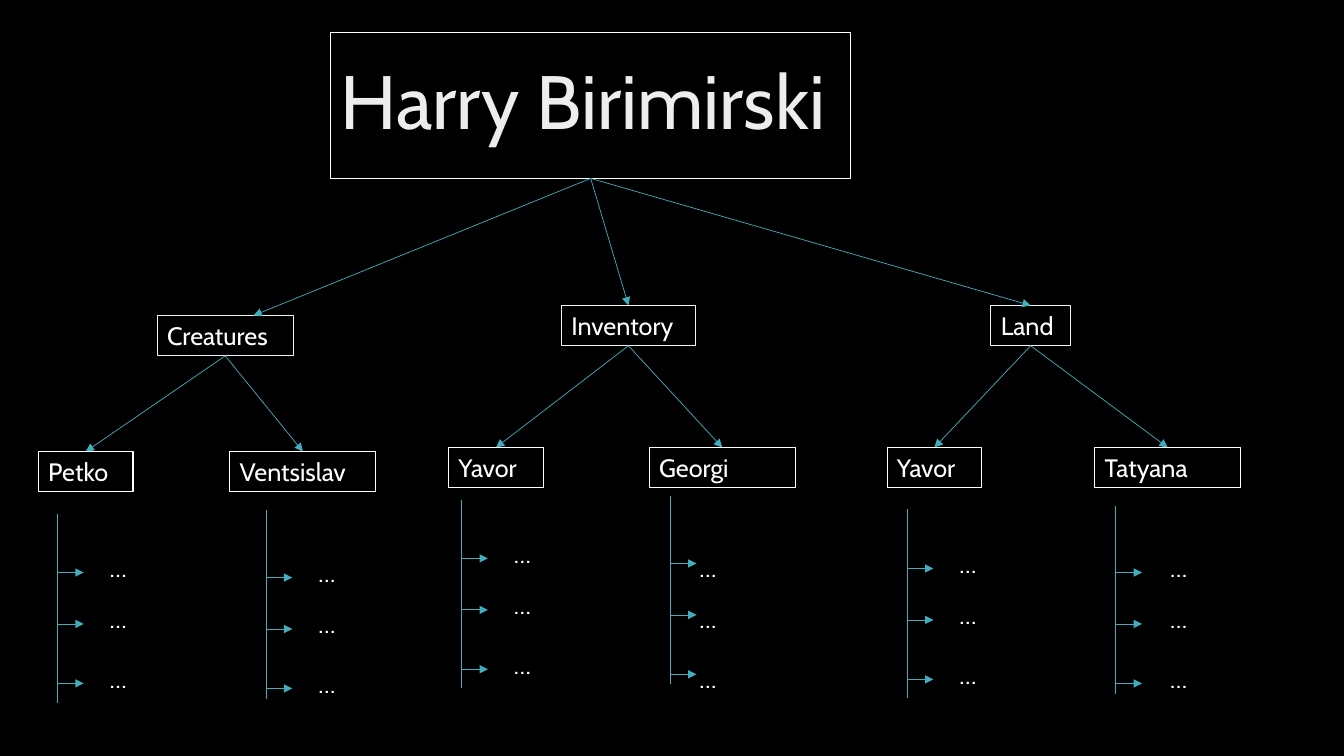
from copy import deepcopy
from dataclasses import dataclass

from lxml import etree
from pptx import Presentation
from pptx import util as u
from pptx.dml.color import RGBColor
from pptx.enum import shapes, text
from pptx.oxml import ns


@dataclass(frozen=True)
class Theme:
    font: str = "Cabin"
    title_size: float = 54
    body_size: float = 18
    background: str = "000000"
    ink: str = "FFFFFF"
    branch_outline: str = "F2F2F2"
    arrow: str = "41AEBD"
    title_gradient: tuple = ((0, "BFBFBF"), (0.28, "EDEDED"), (1, "FFFFFF"))
    outline_width: float = 0.75
    arrow_width: float = 0.5


@dataclass(frozen=True)
class Box:
    """A labelled frame, measured in grid columns and rows."""
    label: str
    left: float
    top: float
    width: float
    height: float = 4.0

    @property
    def head(self) -> tuple[float, float]:
        return self.left + self.width / 2, self.top

    @property
    def foot(self) -> tuple[float, float]:
        return self.left + self.width / 2, self.top + self.height


@dataclass(frozen=True)
class Person:
    """A leaf box with its spine of items."""
    box: Box
    spine_left: float
    spine_top: float
    first_item: float
    dots_right: float = 4.2  # from the spine to the dots
    dots_up: float = 2.5     # from the arrow up to the top of the dots


@dataclass(frozen=True)
class Branch:
    box: Box
    people: tuple[Person, ...]
    entry_shift: float = 0  # where the arrow meets the box, from its centre


THEME = Theme()
COLUMNS, ROWS = 133.33, 75
CELL = u.Inches(0.1)
SPINE_HEIGHT = 18.7
ITEM_OFFSETS = (0, 5.1, 11)
ITEM_ARROW = 2.6
DOTS_WIDTH, DOTS_HEIGHT = 16, 4

OWNER = Box("Harry Birimirski", 32.8, 3.2, 51.6, 14.5)
BRANCHES = (
    Branch(Box("Creatures", 15.6, 31.3, 13.5), (
        Person(Box("Petko", 3.8, 44.8, 9.4), 5.7, 51, 56.8),
        Person(Box("Ventsislav", 22.8, 44.8, 14.5), 26.4, 50.6, 57.3),
    ), entry_shift=2.8),
    Branch(Box("Inventory", 55.7, 30.3, 13.3), (
        Person(Box("Yavor", 44.5, 44.4, 9.4), 45.8, 49.6, 55.4),
        Person(Box("Georgi", 64.4, 44.4, 14.5), 66.5, 49.2, 55.9, 1.9, 1.6),
    )),
    Branch(Box("Land", 98.3, 30.3, 7.9), (
        Person(Box("Yavor", 88, 44.4, 9.4), 90, 50.5, 56.4),
        Person(Box("Tatyana", 108.6, 44.4, 14.5), 110.7, 50.2, 56.8, 4.4),
    )),
)


def grid(cells: float) -> u.Emu:
    return u.Emu(round(cells * CELL))


def color(value: str) -> RGBColor:
    return RGBColor.from_string(value)


def outline(shape, value: str) -> None:
    shape.line.color.rgb = color(value)
    shape.line.width = u.Pt(THEME.outline_width)


def add_label(slide, box: Box):
    label = slide.shapes.add_textbox(*map(grid, (box.left, box.top, box.width, box.height)))
    frame = label.text_frame
    frame.text = box.label
    frame.word_wrap = True
    frame.auto_size = text.MSO_AUTO_SIZE.SHAPE_TO_FIT_TEXT
    font = frame.paragraphs[0].runs[0].font
    font.name, font.size = THEME.font, u.Pt(THEME.body_size)
    font.color.rgb = color(THEME.ink)
    return label


def add_line(slide, start: tuple[float, float], end: tuple[float, float],
             arrow: bool = True) -> None:
    line = slide.shapes.add_connector(
        shapes.MSO_CONNECTOR.STRAIGHT, *map(grid, (*start, *end)))
    line.line.color.rgb = color(THEME.arrow)
    line.line.width = u.Pt(THEME.arrow_width)
    if arrow:
        etree.SubElement(line.line._get_or_add_ln(), ns.qn("a:tailEnd"), type="triangle")
    etree.SubElement(line._element.spPr, ns.qn("a:effectLst"))


def add_owner(slide, box: Box) -> None:
    title = slide.shapes.title
    title.left, title.top = grid(box.left), grid(box.top)
    title.width, title.height = grid(box.width), grid(box.height)
    outline(title, THEME.ink)
    frame = title.text_frame
    frame.text = box.label
    frame.word_wrap = True
    frame.auto_size = text.MSO_AUTO_SIZE.NONE
    frame.vertical_anchor = text.MSO_ANCHOR.MIDDLE
    paragraph = frame.paragraphs[0]
    paragraph.alignment = text.PP_ALIGN.LEFT
    paragraph.line_spacing = 0.9
    run = paragraph.runs[0]
    run.font.name, run.font.size = THEME.font, u.Pt(THEME.title_size)

    # Three-stop gradient on the lettering
    fill = run.font.fill
    fill.gradient()
    fill.gradient_angle = 280
    stop_list = run._r.find(".//" + ns.qn("a:gsLst"))
    stop_list.append(deepcopy(stop_list[-1]))
    for stop, (position, value) in zip(fill.gradient_stops, THEME.title_gradient):
        stop.position = position
        stop.color.rgb = color(value)


def add_person(slide, person: Person) -> None:
    outline(add_label(slide, person.box), THEME.ink)
    x, top = person.spine_left, person.spine_top
    add_line(slide, (x, top), (x, top + SPINE_HEIGHT), arrow=False)
    for offset in ITEM_OFFSETS:
        y = person.first_item + offset
        add_line(slide, (x, y), (x + ITEM_ARROW, y))
        add_label(slide, Box("…", x + person.dots_right, y - person.dots_up,
                             DOTS_WIDTH, DOTS_HEIGHT))


def add_branch(slide, branch: Branch) -> None:
    outline(add_label(slide, branch.box), THEME.branch_outline)
    x, y = branch.box.head
    add_line(slide, OWNER.foot, (x + branch.entry_shift, y))
    for person in branch.people:
        add_line(slide, branch.box.foot, person.box.head)
        add_person(slide, person)


def main() -> None:
    deck = Presentation()
    deck.slide_width, deck.slide_height = grid(COLUMNS), grid(ROWS)
    slide = deck.slides.add_slide(deck.slide_layouts.get_by_name("Title Only"))
    slide.background.fill.solid()
    slide.background.fill.fore_color.rgb = color(THEME.background)

    # Owner at the top, then each branch with its people
    add_owner(slide, OWNER)
    for branch in BRANCHES:
        add_branch(slide, branch)

    deck.save("out.pptx")


if __name__ == "__main__":
    main()
